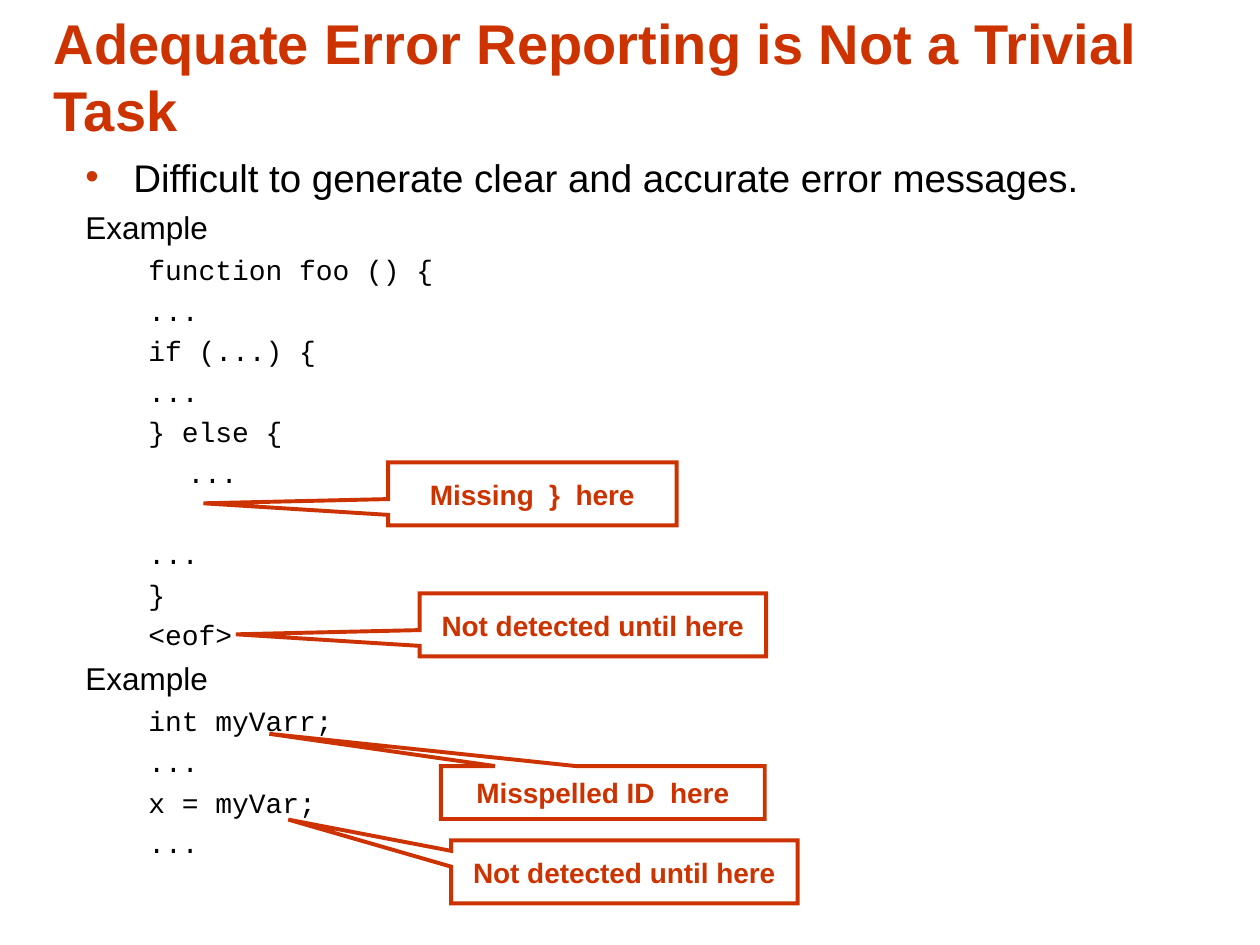
from pptx import Presentation
from pptx import util as u
from pptx.dml.color import RGBColor
from pptx.enum import shapes, text
from pptx.oxml import parse_xml
from pptx.oxml.ns import nsdecls

CODE_SPACE = 4
CODE_LINE = 19.2


def color(value):
    return RGBColor.from_string(value)


def element(tag, attributes="", inner=""):
    return parse_xml(f'<a:{tag} {nsdecls("a")} {attributes}>{inner}</a:{tag}>')


class SlideBuilder:
    accent, ink = "CC3300", "000000"
    sans, mono = "Arial", "Courier New"

    def __init__(self, slide):
        self.slide = slide

    def style(self, paragraph, size, face, ink, bold=False):
        font = paragraph.font
        font.size, font.name, font.bold = u.Pt(size), face, bold
        font.color.rgb = color(ink)

    def frame(self, left, top, width, height, anchor):
        box = self.slide.shapes.add_textbox(*map(u.Inches, (left, top, width, height)))
        box.text_frame.word_wrap = True
        box.text_frame.vertical_anchor = anchor
        return box.text_frame

    def title(self, words, *place):
        heading = self.frame(*place, text.MSO_ANCHOR.MIDDLE).paragraphs[0]
        heading.text = words
        self.style(heading, 32, self.sans, self.accent, bold=True)

    def paragraph(self, body, words, before, margin, hanging):
        first = body.paragraphs[0]
        para = body.add_paragraph() if first.runs else first
        para.text = words
        para.space_before = u.Pt(before)
        props = para._p.get_or_add_pPr()
        props.set("marL", str(u.Inches(margin)))
        props.set("indent", str(-u.Inches(hanging)))
        return para

    def bullet(self, body, words):
        para = self.paragraph(body, words, 0, 0.38, 0.38)
        props = para._p.get_or_add_pPr()
        props.append(element("buClr", inner=f'<a:srgbClr val="{self.accent}"/>'))
        props.append(element("buFont", f'typeface="{self.sans}"'))
        props.append(element("buChar", 'char="•"'))
        self.style(para, 22, self.sans, self.ink)

    def label(self, body, words):
        para = self.paragraph(body, words, 4.5, 0.38, 0.38)
        self.style(para, 18, self.sans, self.ink)

    def code(self, body, lines, gap_before=None):
        for number, line in enumerate(lines):
            before = CODE_SPACE
            if number == gap_before:
                before += CODE_SPACE + CODE_LINE
            para = self.paragraph(body, line, before, 0.81, 0.31)
            self.style(para, 16, self.mono, self.ink)

    def callout(self, words, place, tip):
        note = self.slide.shapes.add_shape(
            shapes.MSO_SHAPE.RECTANGULAR_CALLOUT, *map(u.Inches, place))
        note.shadow.inherit = False
        note.adjustments[0], note.adjustments[1] = tip
        note.fill.background()
        note.line.color.rgb = color(self.accent)
        note.line.width = u.Pt(2.25)
        note.line._get_or_add_ln().append(element("miter", 'lim="800000"'))
        note.text_frame.word_wrap = True
        note.text_frame.vertical_anchor = text.MSO_ANCHOR.MIDDLE
        para = note.text_frame.paragraphs[0]
        para.text = words
        para.alignment = text.PP_ALIGN.CENTER
        self.style(para, 16, self.sans, self.accent, bold=True)


def main():
    deck = Presentation()
    deck.slide_width, deck.slide_height = u.Inches(10), u.Inches(7.5)
    page = SlideBuilder(deck.slides.add_slide(deck.slide_layouts[6]))

    # Title
    page.title("Adequate Error Reporting is Not a Trivial Task", 0.33, 0.25, 9.4, 0.7)

    # Statement and the two code examples
    body = page.frame(0.58, 1.17, 9.25, 6.17, text.MSO_ANCHOR.TOP)
    page.bullet(body, "Difficult to generate clear and accurate error messages.")
    page.label(body, "Example")
    page.code(body, ["function foo () {", "...", "if (...) {", "...", "} else {",
                     "\t...", "...", "}", "<eof>"], gap_before=6)
    page.label(body, "Example")
    page.code(body, ["int myVarr;", "...", "x = myVar;", "..."])

    # Callouts pointing at each mistake and where it is detected
    undetected = "Not detected until here"
    for words, place, tip in [
        ("Missing  }  here", (3.08, 3.67, 2.29, 0.5), (-1.14, 0.15)),
        (undetected, (3.33, 4.71, 2.75, 0.5), (-1.03, 0.15)),
        ("Misspelled ID  here", (3.5, 6.08, 2.57, 0.42), (-1.03, -1.11)),
        (undetected, (3.58, 6.67, 2.75, 0.5), (-0.97, -0.83)),
    ]:
        page.callout(words, place, tip)

    deck.save("out.pptx")


if __name__ == "__main__":
    main()
